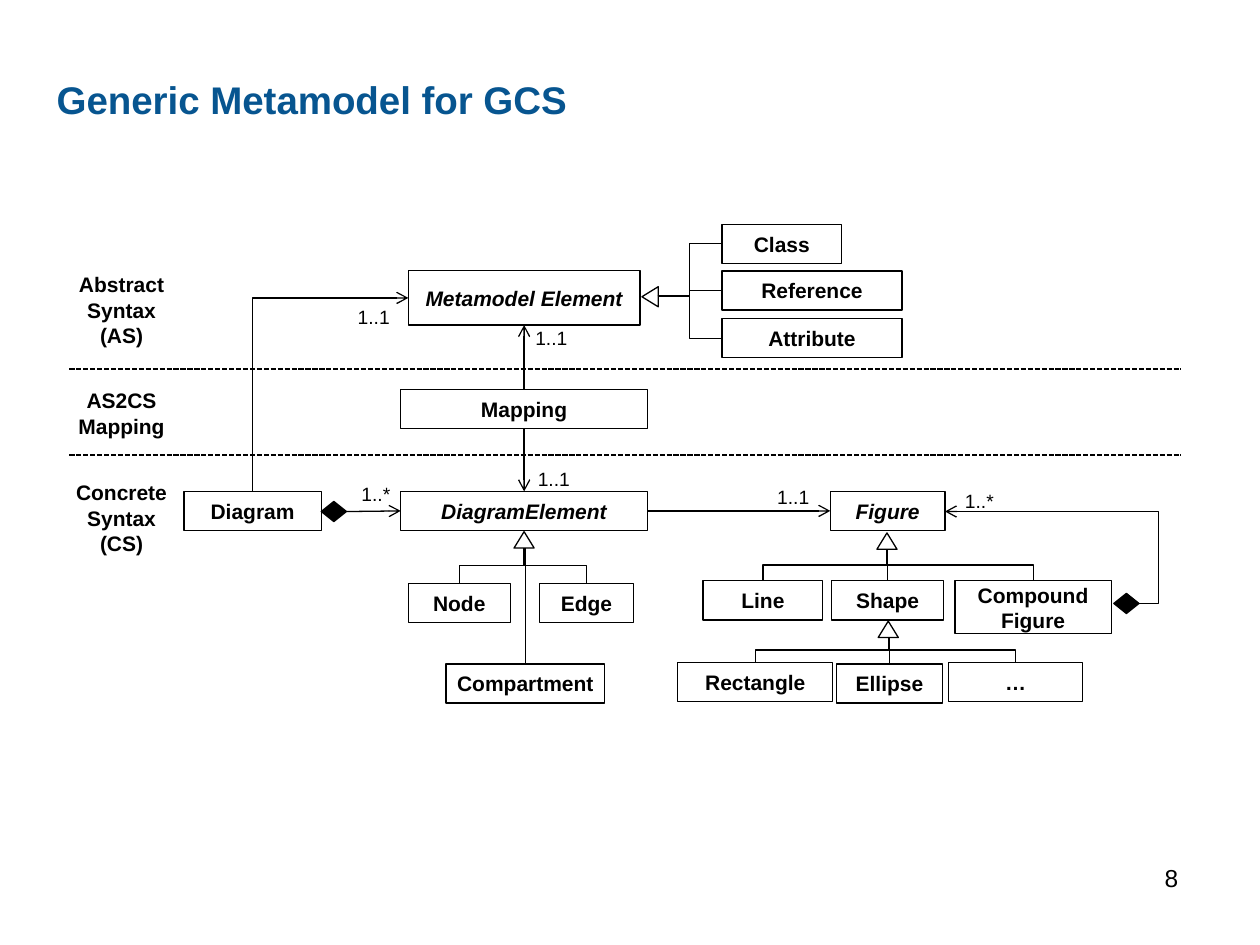
from lxml.etree import SubElement
from pptx import Presentation
from pptx.dml.color import RGBColor
from pptx.enum.dml import MSO_LINE
from pptx.enum.shapes import MSO_CONNECTOR as CONNECTOR, MSO_SHAPE as SHAPE
from pptx.enum.text import MSO_ANCHOR as ANCHOR, MSO_AUTO_SIZE as AUTO_SIZE, PP_ALIGN as ALIGN
from pptx.oxml.ns import qn
from pptx.util import Inches, Pt

COLORS = {"ink": "000000", "paper": "FFFFFF", "title": "075590"}
TOP, LEFT, BOTTOM, RIGHT = range(4)

CLASSES = {
    "Class": (5.73, 1.78, 0.95, 0.31),
    "Reference": (5.73, 2.15, 1.43, 0.31),
    "Attribute": (5.73, 2.53, 1.43, 0.31),
    "Node": (3.24, 4.63, 0.81, 0.31),
    "Edge": (4.28, 4.63, 0.75, 0.31),
    "Compartment": (3.54, 5.27, 1.26, 0.31),
    "Line": (5.58, 4.61, 0.95, 0.31),
    "Shape": (6.6, 4.61, 0.89, 0.31),
    "Compound\vFigure": (7.58, 4.61, 1.24, 0.42),
    "Rectangle": (5.38, 5.26, 1.23, 0.31),
    "Ellipse": (6.64, 5.27, 0.84, 0.31),
    "…": (7.53, 5.26, 1.06, 0.31),
    "Figure": (6.59, 3.9, 0.91, 0.31),
    "Metamodel Element": (3.24, 2.15, 1.84, 0.43),
    "Mapping": (3.18, 3.09, 1.96, 0.31),
    "DiagramElement": (3.18, 3.9, 1.96, 0.31),
    "Diagram": (1.46, 3.9, 1.09, 0.31),
}
ABSTRACT_CLASSES = {"Metamodel Element", "DiagramElement", "Figure"}
PLAIN_RECTANGLES = {"Metamodel Element", "Mapping", "DiagramElement", "Diagram"}

MULTIPLICITIES = [
    ("1..1", 2.74, 2.37), ("1..1", 4.15, 2.54), ("1..1", 4.17, 3.66),
    ("1..1", 6.07, 3.8), ("1..*", 7.56, 3.83), ("1..*", 2.77, 3.78),
]
LAYERS = [
    (["Abstract Syntax", "(AS)"], 2.11, 0.7),
    (["AS2CS Mapping"], 3.03, 0.5),
    (["Concrete\vSyntax", "(CS)"], 3.76, 0.7),
]


def color(name):
    return RGBColor.from_string(COLORS[name])


def write(frame, lines, size, bold=False, italic=False, align=ALIGN.LEFT, ink="ink"):
    frame.word_wrap = True
    for index, line in enumerate(lines):
        paragraph = frame.paragraphs[0] if index == 0 else frame.add_paragraph()
        paragraph.text = line
        paragraph.alignment = align
        font = paragraph.font
        font.name, font.size = "Arial", Pt(size)
        font.bold, font.italic = bold, italic
        font.color.rgb = color(ink)


def add_label(slide, lines, box, size, **style):
    label = slide.shapes.add_textbox(*map(Inches, box))
    write(label.text_frame, lines, size, **style)


def add_outline(slide, preset, box, fill=None):
    outline = slide.shapes.add_shape(preset, *map(Inches, box))
    outline.shadow.inherit = False
    if fill:
        outline.fill.solid()
        outline.fill.fore_color.rgb = color(fill)
    else:
        outline.fill.background()
    outline.line.color.rgb = color("ink")
    outline.line.width = Pt(0.75)
    return outline


def add_class(slide, name, box):
    preset = SHAPE.RECTANGLE if name in PLAIN_RECTANGLES else SHAPE.FLOWCHART_PROCESS
    node = add_outline(slide, preset, box)
    frame = node.text_frame
    frame.vertical_anchor = ANCHOR.MIDDLE
    if name == "Compartment":
        frame.margin_left = frame.margin_right = Inches(0.04)
    write(frame, [name], 12, bold=True, italic=name in ABSTRACT_CLASSES, align=ALIGN.CENTER)
    return node


def add_link(slide, kind, start=(0, 0), end=(0, 0), arrow=None, dash=None, width=0.75):
    link = slide.shapes.add_connector(kind, *start, *end)
    link.line.color.rgb = color("ink")
    link.line.width = Pt(width)
    if dash:
        link.line.dash_style = dash
    properties = link._element.spPr
    if arrow:
        SubElement(properties.find(qn("a:ln")), qn(f"a:{arrow}"), type="arrow")
    SubElement(properties, qn("a:effectLst"))
    return link


def add_association(slide, source, source_side, target, target_side):
    link = add_link(slide, CONNECTOR.STRAIGHT, arrow="tailEnd")
    link.begin_connect(source, source_side)
    link.end_connect(target, target_side)


def add_vertical_elbow(slide, start, end, rotation, flips, arrow=None):
    (x1, y1), (x2, y2) = start, end
    across, along = abs(x2 - x1), abs(y2 - y1)
    left = (x1 + x2 - along) // 2
    top = (y1 + y2 - across) // 2
    link = add_link(slide, CONNECTOR.ELBOW, (left, top), (left + along, top + across), arrow)
    frame = link._element.spPr.find(qn("a:xfrm"))
    frame.set("rot", str(rotation * 60000))
    for flip in flips:
        frame.set(flip, "1")
    return link


def top_center(node):
    return node.left + node.width // 2, node.top


def add_inheritance(slide, triangle_box, children):
    triangle = add_outline(slide, SHAPE.ISOSCELES_TRIANGLE, triangle_box, "paper")
    apex_x, apex_y = top_center(triangle)
    base = apex_x, apex_y + triangle.height
    for child in children:
        child_x, child_y = top_center(child)
        if abs(child_x - apex_x) < Inches(0.05):
            link = add_link(slide, CONNECTOR.STRAIGHT, (child_x, base[1]), (child_x, child_y))
            link.end_connect(child, TOP)
        elif child_x > apex_x:
            add_vertical_elbow(slide, base, (child_x, child_y), 270, ["flipH"])
        else:
            add_vertical_elbow(slide, base, (child_x, child_y), 90, [])


def add_metamodel_inheritance(slide, children):
    triangle = add_outline(slide, SHAPE.ISOSCELES_TRIANGLE, (5.08, 2.29, 0.16, 0.13), "paper")
    triangle.rotation = 270
    for child in children:
        end = child.left, child.top + child.height // 2
        add_link(slide, CONNECTOR.ELBOW, (Inches(5.22), Inches(2.35)), end)


def add_diagram_reference(slide, diagram, metamodel):
    end = metamodel.left, metamodel.top + metamodel.height // 2
    link = add_vertical_elbow(slide, top_center(diagram), end, 90, ["flipH", "flipV"], "tailEnd")
    link._element.spPr.find(qn("a:prstGeom")).set("prst", "bentConnector2")


def add_compositions(slide, element):
    add_outline(slide, SHAPE.DIAMOND, (2.55, 3.98, 0.2, 0.16), "ink")
    owned = add_link(slide, CONNECTOR.STRAIGHT, (Inches(2.75), Inches(4.06)), arrow="tailEnd")
    owned.end_connect(element, LEFT)
    add_outline(slide, SHAPE.DIAMOND, (8.84, 4.71, 0.2, 0.16), "ink")
    loop = add_link(slide, CONNECTOR.ELBOW, (Inches(7.5), Inches(4.06)),
                    (Inches(9.04), Inches(4.79)), "headEnd")
    geometry = loop._element.spPr.find(qn("a:prstGeom"))
    adjustments = geometry.find(qn("a:avLst"))
    if adjustments is None:
        adjustments = SubElement(geometry, qn("a:avLst"))
    SubElement(adjustments, qn("a:gd"), name="adj1", fmla="val 109900")


def add_title(slide, text):
    title = slide.shapes.title
    title.left, title.top, title.width, title.height = map(Inches, (0.35, 0.17, 9.33, 0.85))
    title.text_frame.auto_size = AUTO_SIZE.NONE
    title.text_frame.vertical_anchor = ANCHOR.BOTTOM
    write(title.text_frame, [text], 22, bold=True, ink="title")


def main():
    deck = Presentation()
    deck.slide_width, deck.slide_height = Inches(10), Inches(7.5)
    slide = deck.slides.add_slide(deck.slide_layouts[5])
    add_title(slide, "Generic Metamodel for GCS")

    nodes = {name: add_class(slide, name, box) for name, box in CLASSES.items()}
    metamodel, mapping = nodes["Metamodel Element"], nodes["Mapping"]
    element, figure = nodes["DiagramElement"], nodes["Figure"]

    add_metamodel_inheritance(slide, [nodes[n] for n in ("Class", "Reference", "Attribute")])
    for triangle_box, names in [
        ((4.08, 4.22, 0.16, 0.13), ("Node", "Edge", "Compartment")),
        ((6.96, 4.23, 0.16, 0.13), ("Line", "Shape", "Compound\vFigure")),
        ((6.97, 4.93, 0.16, 0.13), ("Rectangle", "Ellipse", "…")),
    ]:
        add_inheritance(slide, triangle_box, [nodes[name] for name in names])

    add_association(slide, mapping, TOP, metamodel, BOTTOM)
    add_association(slide, mapping, BOTTOM, element, TOP)
    add_association(slide, element, RIGHT, figure, LEFT)
    add_diagram_reference(slide, nodes["Diagram"], metamodel)
    add_compositions(slide, element)

    for text, left, top in MULTIPLICITIES:
        add_label(slide, [text], (left, top, 0.53, 0.28), 11)
    for lines, top, height in LAYERS:
        add_label(slide, lines, (0.46, top, 1.01, height), 12, bold=True, align=ALIGN.CENTER)
    for y in (2.93, 3.61):
        add_link(slide, CONNECTOR.STRAIGHT, (Inches(0.55), Inches(y)), (Inches(9.37), Inches(y)),
                 dash=MSO_LINE.SQUARE_DOT, width=1)
    add_label(slide, ["8"], (8.28, 6.8, 1.17, 0.5), 14, align=ALIGN.RIGHT)
    deck.save("out.pptx")


if __name__ == "__main__":
    main()
